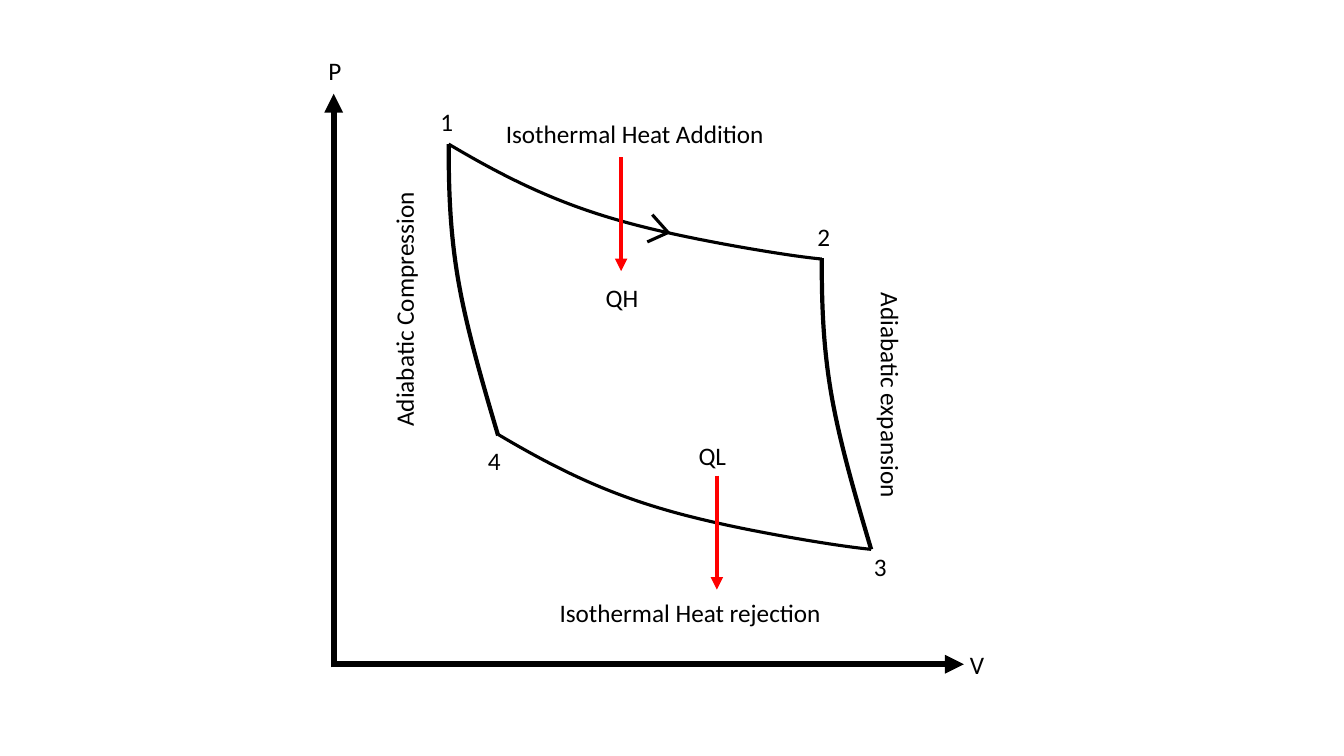
from lxml import etree
from pptx import Presentation, util as u
from pptx.dml.color import RGBColor
from pptx.enum import shapes, text
from pptx.oxml import ns

COLORS = {"ink": "000000", "heat": "FF0000"}
COLUMNS, ROWS = 13.33, 7.5
ISOTHERM = [(0.32, 0.19), (0.65, 0.37), (1.01, 0.52), (1.37, 0.67), (1.73, 0.78),
            (2.18, 0.88), (2.62, 0.98), (3.37, 1.11), (3.7, 1.14)]
ADIABAT = [(0, 0.42), (0.01, 0.84), (0.09, 1.32),
           (0.17, 1.8), (0.33, 2.35), (0.49, 2.89)]


class CycleDiagram:
    """Draws a pressure-volume diagram on a grid of COLUMNS by ROWS."""

    def __init__(self, deck):
        self.slide = deck.slides.add_slide(deck.slide_layouts[6])
        self.cell_width = deck.slide_width / COLUMNS
        self.cell_height = deck.slide_height / ROWS
        self.font, self.size = "Calibri", u.Pt(18)

    def place(self, column, row):
        return round(column * self.cell_width), round(row * self.cell_height)

    def pen(self, line, color, weight):
        line.color.rgb = RGBColor.from_string(COLORS[color])
        line.width = u.Pt(weight)

    def curve(self, start, offsets, weight):
        column, row = start
        builder = self.slide.shapes.build_freeform(*self.place(column, row))
        builder.add_line_segments([self.place(column + dx, row + dy) for dx, dy in offsets],
                                  close=False)
        process = builder.convert_to_shape()
        segments = list(process._element.iter(ns.qn("a:lnTo")))
        for first in range(0, len(segments), 3):
            bend = etree.Element(ns.qn("a:cubicBezTo"))
            segments[first].addprevious(bend)
            for segment in segments[first:first + 3]:
                bend.append(segment[0])
                segment.getparent().remove(segment)
        process.fill.background()
        process.shadow.inherit = False
        self.pen(process.line, "ink", weight)

    def line(self, start, end, weight, color="ink", arrow=False):
        stroke = self.slide.shapes.add_connector(
            shapes.MSO_CONNECTOR.STRAIGHT, *self.place(*start), *self.place(*end))
        self.pen(stroke.line, color, weight)
        if arrow:
            etree.SubElement(stroke.line._get_or_add_ln(), ns.qn("a:tailEnd"), type="triangle")
        etree.SubElement(stroke._element.spPr, ns.qn("a:effectLst"))

    def label(self, wording, column, row, width=0.3, centred=False, rotation=0):
        box = self.slide.shapes.add_textbox(*self.place(column, row), *self.place(width, 0.4))
        box.rotation = rotation
        frame = box.text_frame
        frame.word_wrap = True
        frame.auto_size = text.MSO_AUTO_SIZE.SHAPE_TO_FIT_TEXT
        paragraph = frame.paragraphs[0]
        paragraph.text = wording
        if centred:
            paragraph.alignment = text.PP_ALIGN.CENTER
        paragraph.font.name, paragraph.font.size = self.font, self.size
        paragraph.font.color.rgb = RGBColor.from_string(COLORS["ink"])


def main():
    deck = Presentation()
    deck.slide_width, deck.slide_height = u.Inches(COLUMNS), u.Inches(ROWS)
    diagram = CycleDiagram(deck)

    for start, offsets, weight in [((4.45, 1.43), ISOTHERM, 2.25),
                                   ((8.15, 2.56), ADIABAT, 3),
                                   ((4.45, 1.43), ADIABAT, 3),
                                   ((4.94, 4.31), ISOTHERM, 2.25)]:
        diagram.curve(start, offsets, weight)

    for tip, barb in [((6.63, 2.31), (6.47, 2.13)), ((6.62, 2.31), (6.42, 2.4))]:
        diagram.line(tip, barb, 2.25)

    for state, column, row in [("1", 4.27, 1.01), ("3", 8.57, 5.42),
                               ("2", 8.01, 2.15), ("4", 4.74, 4.37)]:
        diagram.label(state, column, row)

    for column, row in [(6.16, 1.56), (7.11, 4.72)]:
        diagram.line((column, row), (column, row + 1.13), 3, "heat", arrow=True)
    for heat, column, row in [("QH", 5.91, 2.75), ("QL", 6.83, 4.32)]:
        diagram.label(heat, column, row, width=0.63)

    diagram.line((3.31, 6.62), (3.31, 0.93), 4.5, arrow=True)
    diagram.line((3.29, 6.59), (9.56, 6.59), 4.5, arrow=True)
    for axis, column, row in [("P", 3.16, 0.5), ("V", 9.52, 6.39)]:
        diagram.label(axis, column, row)

    for process, column, row, rotation in [("Isothermal Heat Addition", 4.79, 1.12, 0),
                                           ("Adiabatic expansion", 7.33, 3.72, 90),
                                           ("Adiabatic Compression", 2.5, 2.87, 270),
                                           ("Isothermal Heat rejection", 5.34, 5.88, 0)]:
        diagram.label(process, column, row, width=3.01, centred=True, rotation=rotation)

    deck.save("out.pptx")


if __name__ == "__main__":
    main()
